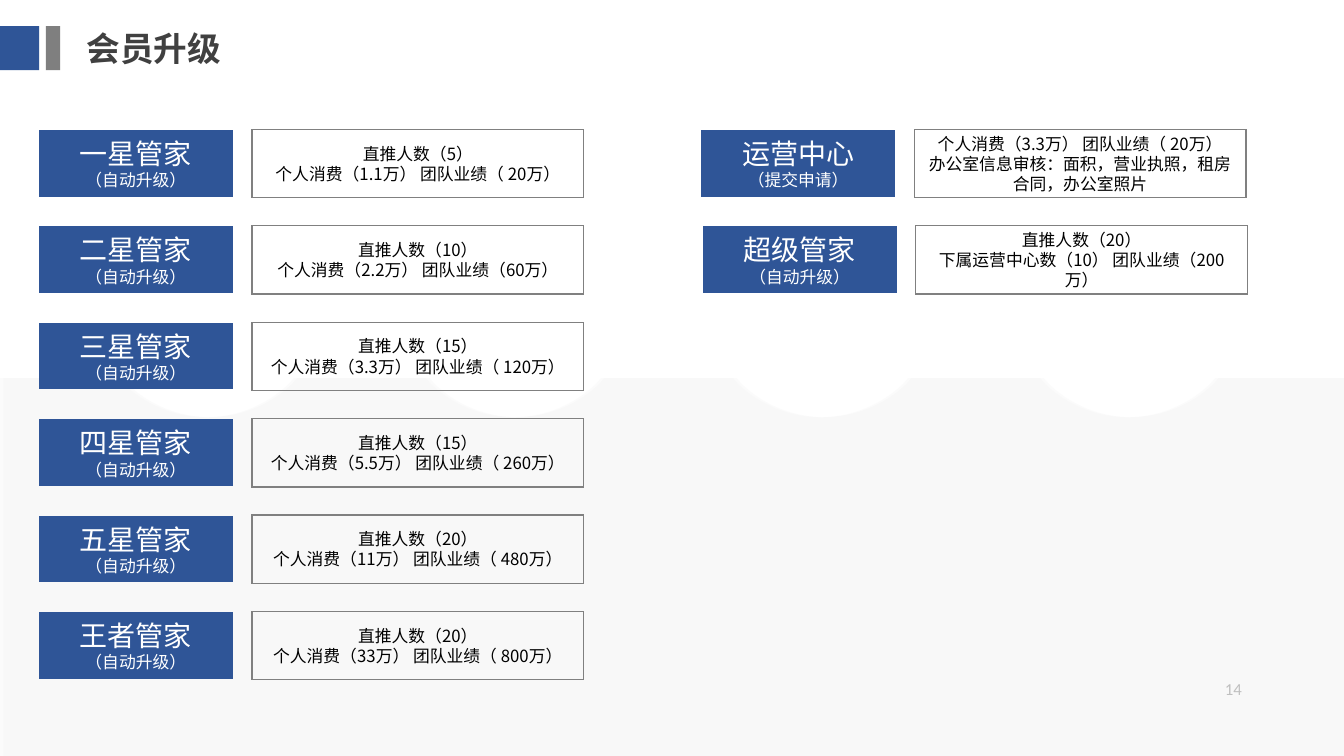
from dataclasses import dataclass

from pptx import Presentation
from pptx.dml.color import RGBColor as RGB
from pptx.enum.shapes import MSO_SHAPE as Shape
from pptx.enum.text import MSO_ANCHOR as Anchor, MSO_AUTO_SIZE as AutoSize, PP_ALIGN as Align
from pptx.oxml.ns import qn
from pptx.util import Cm, Pt
from lxml.etree import SubElement


@dataclass(frozen=True)
class Theme:
    blue: RGB = RGB(0x2F, 0x55, 0x97)
    bar: RGB = RGB(0x7F, 0x7F, 0x7F)
    border: RGB = RGB(0x80, 0x80, 0x80)
    wave: RGB = RGB(0xF2, 0xF2, 0xF2)
    heading: RGB = RGB(0x40, 0x40, 0x40)
    number: RGB = RGB(0x8C, 0x8C, 0x8C)
    white: RGB = RGB(0xFF, 0xFF, 0xFF)
    black: RGB = RGB(0, 0, 0)
    cjk: str = "Noto Sans CJK SC"
    latin: str = "Calibri"
    title: int = 24
    rank: int = 20
    body: int = 12


T = Theme()
W, H = 33.87, 19.05
ROW_PITCH = 2.43

STAR_RANKS = [
    ("一星管家", "（自动升级）", "直推人数（5）", "个人消费（1.1万） 团队业绩（ 20万）"),
    ("二星管家", "（自动升级）", "直推人数（10）", "个人消费（2.2万） 团队业绩（60万）"),
    ("三星管家", "（自动升级）", "直推人数（15）", "个人消费（3.3万） 团队业绩（ 120万）"),
    ("四星管家", "（自动升级）", "直推人数（15）", "个人消费（5.5万） 团队业绩（ 260万）"),
    ("五星管家", "（自动升级）", "直推人数（20）", "个人消费（11万） 团队业绩（ 480万）"),
    ("王者管家", "（自动升级）", "直推人数（20）", "个人消费（33万） 团队业绩（ 800万）"),
]
TOP_RANKS = [
    ("运营中心", "（提交申请）", "个人消费（3.3万） 团队业绩（ 20万）",
     "办公室信息审核：面积，营业执照，租房合同，办公室照片"),
    ("超级管家", "（自动升级）", "直推人数（20）", "下属运营中心数（10） 团队业绩（200万）"),
]


def write(tf, lines, color, align, anchor=Anchor.MIDDLE, font=T.cjk, bold=False):
    """Put (text, size) lines into a text frame, one paragraph each."""
    tf.word_wrap = True
    tf.vertical_anchor = anchor
    for i, (text, size) in enumerate(lines):
        p = tf.add_paragraph() if i else tf.paragraphs[0]
        p.alignment = align
        r = p.add_run()
        r.text = text
        r.font.name, r.font.size, r.font.bold = font, Pt(size), bold
        r.font.color.rgb = color
        SubElement(r.font._element, qn("a:ea"), typeface=font)


def rect(s, x, y, w, h, fill=None, line=None, weight=1):
    sp = s.shapes.add_shape(Shape.RECTANGLE, Cm(x), Cm(y), Cm(w), Cm(h))
    sp.shadow.inherit = False
    if fill is None:
        sp.fill.background()
    else:
        sp.fill.solid()
        sp.fill.fore_color.rgb = fill
    if line is None:
        sp.line.fill.background()
    else:
        sp.line.color.rgb = line
        sp.line.width = Pt(weight)
        SubElement(sp.line._get_or_add_ln(), qn("a:miter"), lim="800000")
    return sp


def add_wave(s, x, y, w, h):
    """Translucent panel whose top edge carries four rounded scallops."""
    first, pitch, count = 5.2, 7.74, 4
    left = [(-2.21, 0), (-2.08, 0.15), (-1.55, 0.66), (-0.81, 0.99)]
    scallop = left + [(0, 0.99)] + [(-dx, dy) for dx, dy in reversed(left)]
    points = [(x + first + k * pitch + dx, y + dy)
              for k in range(count) for dx, dy in scallop]
    points += [(x + w, y), (x + w, y + h), (x, y + h)]
    builder = s.shapes.build_freeform(Cm(x), Cm(y), scale=1.0)
    builder.add_line_segments([(Cm(px), Cm(py)) for px, py in points], close=True)
    sp = builder.convert_to_shape()

    # Each scallop's points 2-4 and 5-7 become one Bezier curve apiece
    lines = list(sp._element.iter(qn("a:lnTo")))
    for k in range(count):
        for start in (2, 5):
            i = k * len(scallop) + start
            curve, *rest = lines[i:i + 3]
            curve.tag = qn("a:cubicBezTo")
            for segment in rest:
                curve.append(segment[0])
                segment.getparent().remove(segment)

    sp.shadow.inherit = False
    sp.line.fill.background()
    sp.fill.solid()
    sp.fill.fore_color.rgb = T.wave
    color = sp._element.spPr.find(qn("a:solidFill"))[0]
    SubElement(color, qn("a:alpha"), val="30000")


def add_header(s, x, y, h, text):
    rect(s, x, y, 0.99, h, T.blue)
    rect(s, x + 1.16, y, 0.36, h, T.bar)
    title = s.shapes.title
    title.left, title.top, title.width, title.height = Cm(x + 1.93), Cm(y - 0.08), Cm(18.42), Cm(1.27)
    write(title.text_frame, [(text, T.title)], T.heading, Align.LEFT, Anchor.TOP, bold=True)
    title.text_frame.auto_size = AutoSize.SHAPE_TO_FIT_TEXT


def add_page_number(s, x, y, w, h, text):
    tf = s.shapes.add_textbox(Cm(x), Cm(y), Cm(w), Cm(h)).text_frame
    write(tf, [(text, T.body)], T.number, Align.RIGHT, font=T.latin)


def add_rank(s, x, y, rank, mode, *conditions):
    """Blue badge with the rank, outlined box with its conditions."""
    badge = rect(s, x, y + 0.04, 4.83, 1.63, T.blue, T.blue, 1.5)
    write(badge.text_frame, [(rank, T.rank), (mode, T.body)], T.white, Align.CENTER)
    box = rect(s, x + 5.34, y, 8.36, 1.72, line=T.border)
    write(box.text_frame, [(c, T.body) for c in conditions], T.black, Align.CENTER)


def add_rank_column(s, x, y, ranks, shift=0):
    """Stack ranks downwards, each moved right by shift from the one above."""
    for i, rank in enumerate(ranks):
        add_rank(s, x + i * shift, y + i * ROW_PITCH, *rank)


def main():
    prs = Presentation()
    prs.slide_width, prs.slide_height = Cm(W), Cm(H)
    s = prs.slides.add_slide(prs.slide_layouts[5])

    # Backdrop: the page number lies beneath both waves
    add_page_number(s, 23.93, 16.86, 7.62, 1.02, "14")
    for offset in (0.09, 0):
        add_wave(s, offset, H / 2, W, H / 2)

    # Title and rank columns
    add_header(s, 0, 0.66, 1.11, "会员升级")
    add_rank_column(s, 1.01, 3.26, STAR_RANKS)
    add_rank_column(s, 17.7, 3.26, TOP_RANKS, shift=0.04)

    prs.save("out.pptx")


if __name__ == "__main__":
    main()
